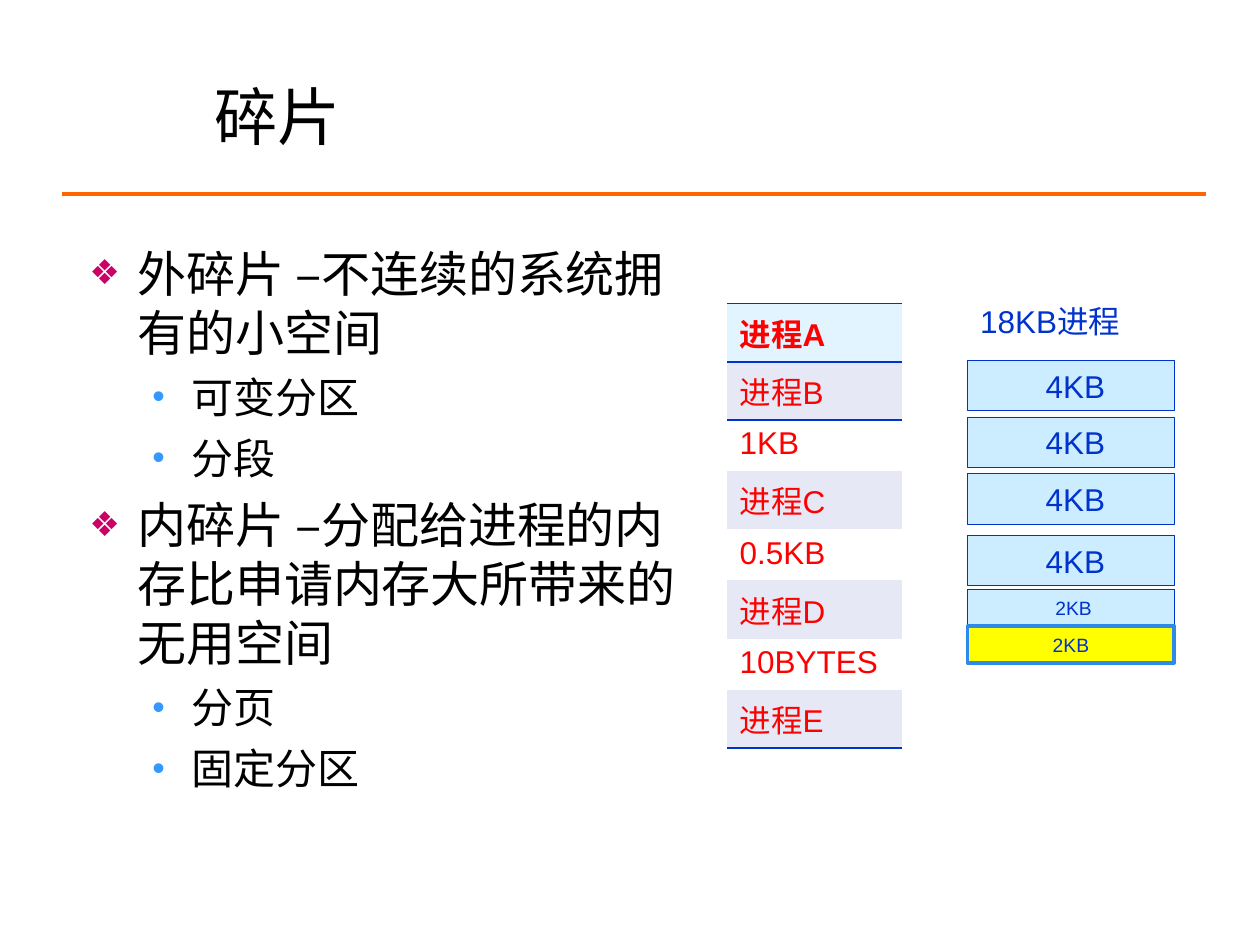
from dataclasses import dataclass
from typing import Any

from lxml import etree
from pptx import Presentation
from pptx import util as u
from pptx.dml.color import RGBColor
from pptx.enum import shapes, text
from pptx.oxml import ns

NO_GRID_STYLE = "{2D5ABB26-0587-4C30-8999-92F81FD0307C}"
BULLETS = [
    dict(left=0.38, hang=0.38, before=7, size=28, char="❖", color="CC0066", scale=70),
    dict(left=0.81, hang=0.31, before=6, size=24, char="•", color="3399FF", scale=85),
]


def rgb(value):
    return RGBColor.from_string(value)


def add_xml(parent, tag, **attrs):
    return etree.SubElement(parent, ns.qn(tag), **attrs)


@dataclass
class Deck:
    s: Any
    font: str = "Arial"
    ink: str = "000000"
    blue: str = "0033CC"

    def style(self, p, size, color, bold=False):
        p.font.name = self.font
        p.font.size = u.Pt(size)
        p.font.bold = bold
        p.font.color.rgb = rgb(color)

    def place(self, sp, left, top, width, height):
        sp.left, sp.top = u.Inches(left), u.Inches(top)
        sp.width, sp.height = u.Inches(width), u.Inches(height)

    def title(self, words, *box):
        sp = self.s.shapes.title
        self.place(sp, *box)
        tf = sp.text_frame
        tf.text = words
        tf.auto_size = text.MSO_AUTO_SIZE.NONE
        tf.vertical_anchor = text.MSO_ANCHOR.MIDDLE
        p = tf.paragraphs[0]
        p.alignment = text.PP_ALIGN.LEFT
        self.style(p, 36, self.ink)

    def body(self, items, *box):
        sp = self.s.placeholders[1]
        self.place(sp, *box)
        tf = sp.text_frame
        tf.auto_size = text.MSO_AUTO_SIZE.NONE
        for i, (level, words) in enumerate(items):
            p = tf.add_paragraph() if i else tf.paragraphs[0]
            look = BULLETS[level]
            p.text = words
            p.level = level
            p.space_before = u.Pt(look["before"] if i else 0)
            pPr = p._p.get_or_add_pPr()
            pPr.set("marL", str(u.Inches(look["left"])))
            pPr.set("indent", str(-u.Inches(look["hang"])))
            add_xml(add_xml(pPr, "a:buClr"), "a:srgbClr", val=look["color"])
            add_xml(pPr, "a:buSzPct", val=str(look["scale"] * 1000))
            add_xml(pPr, "a:buFont", typeface=self.font)
            add_xml(pPr, "a:buChar", char=look["char"])
            self.style(p, look["size"], self.ink)

    def line(self, x1, y1, x2, y2, color, width):
        ends = [u.Inches(v) for v in (x1, y1, x2, y2)]
        c = self.s.shapes.add_connector(shapes.MSO_CONNECTOR.STRAIGHT, *ends)
        c.line.color.rgb = rgb(color)
        c.line.width = u.Pt(width)
        add_xml(c._element.spPr, "a:effectLst")

    def border(self, cell, side):
        ln = add_xml(cell._tc.get_or_add_tcPr(), side, w=str(u.Pt(0.96)))
        add_xml(add_xml(ln, "a:solidFill"), "a:srgbClr", val=self.blue)

    def table(self, rows, *box):
        dims = [u.Inches(v) for v in box]
        table = self.s.shapes.add_table(len(rows), 1, *dims).table
        table._tbl.tblPr.find(ns.qn("a:tableStyleId")).text = NO_GRID_STYLE
        last = len(rows) - 1
        for i, words in enumerate(rows):
            cell = table.cell(i, 0)
            cell.text = words
            self.style(cell.text_frame.paragraphs[0], 18, "FF0000", bold=i == 0)
            if i in (0, 1):
                self.border(cell, "a:lnT")
            if i in (0, last):
                self.border(cell, "a:lnB")
            cell.fill.solid()
            fill = "E7E8F6" if i % 2 or i == last else "FFFFFF"
            cell.fill.fore_color.rgb = rgb(fill if i else "E2F4FF")

    def block(self, words, top, height, size, fill="CCECFF", line="0033CC", width=0.5):
        dims = [u.Inches(v) for v in (7.68, top, 1.64, height)]
        sp = self.s.shapes.add_shape(shapes.MSO_SHAPE.RECTANGLE, *dims)
        sp.shadow.inherit = False
        sp.fill.solid()
        sp.fill.fore_color.rgb = rgb(fill)
        sp.line.color.rgb = rgb(line)
        sp.line.width = u.Pt(width)
        sp.text_frame.text = words
        p = sp.text_frame.paragraphs[0]
        p.alignment = text.PP_ALIGN.CENTER
        self.style(p, size, self.blue)

    def label(self, words, *box):
        tf = self.s.shapes.add_textbox(*[u.Inches(v) for v in box]).text_frame
        tf.word_wrap = True
        tf.text = words
        self.style(tf.paragraphs[0], 18, self.blue)


def main():
    prs = Presentation()
    prs.slide_width, prs.slide_height = u.Inches(10), u.Inches(7.5)
    deck = Deck(prs.slides.add_slide(prs.slide_layouts[1]))

    deck.line(0.49, 1.54, 9.57, 1.54, "FF6600", 2.25)
    deck.title("碎片", 1.6, 0.51, 7.72, 0.81)
    deck.body([
        (0, "外碎片 –不连续的系统拥有的小空间"),
        (1, "可变分区"),
        (1, "分段"),
        (0, "内碎片 –分配给进程的内存比申请内存大所带来的无用空间"),
        (1, "分页"),
        (1, "固定分区"),
    ], 0.61, 1.88, 5.05, 4.65)
    deck.table(["进程A", "进程B", "1KB", "进程C", "0.5KB", "进程D", "10BYTES", "进程E"],
               5.77, 2.41, 1.39, 3.24)

    for top in (2.86, 3.31, 3.76, 4.25):
        deck.block(" 4KB", top, 0.4, 18)
    deck.block(" 2KB", 4.68, 0.29, 11)
    deck.block("2KB", 4.97, 0.29, 11, fill="FFFF00", line="2D8AE7", width=2)
    deck.label("18KB进程", 7.68, 2.35, 1.64, 0.4)

    prs.save("out.pptx")


if __name__ == "__main__":
    main()
